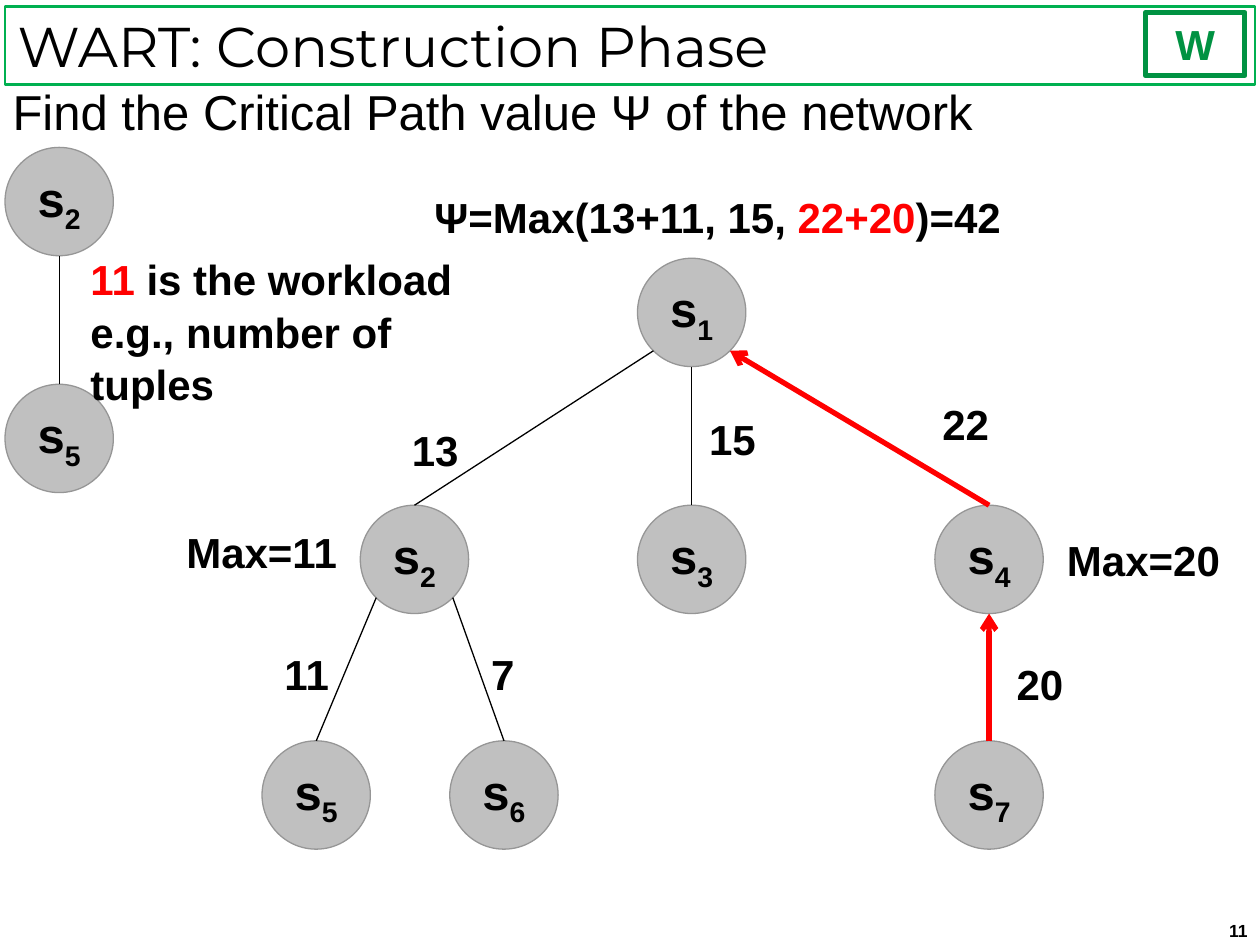
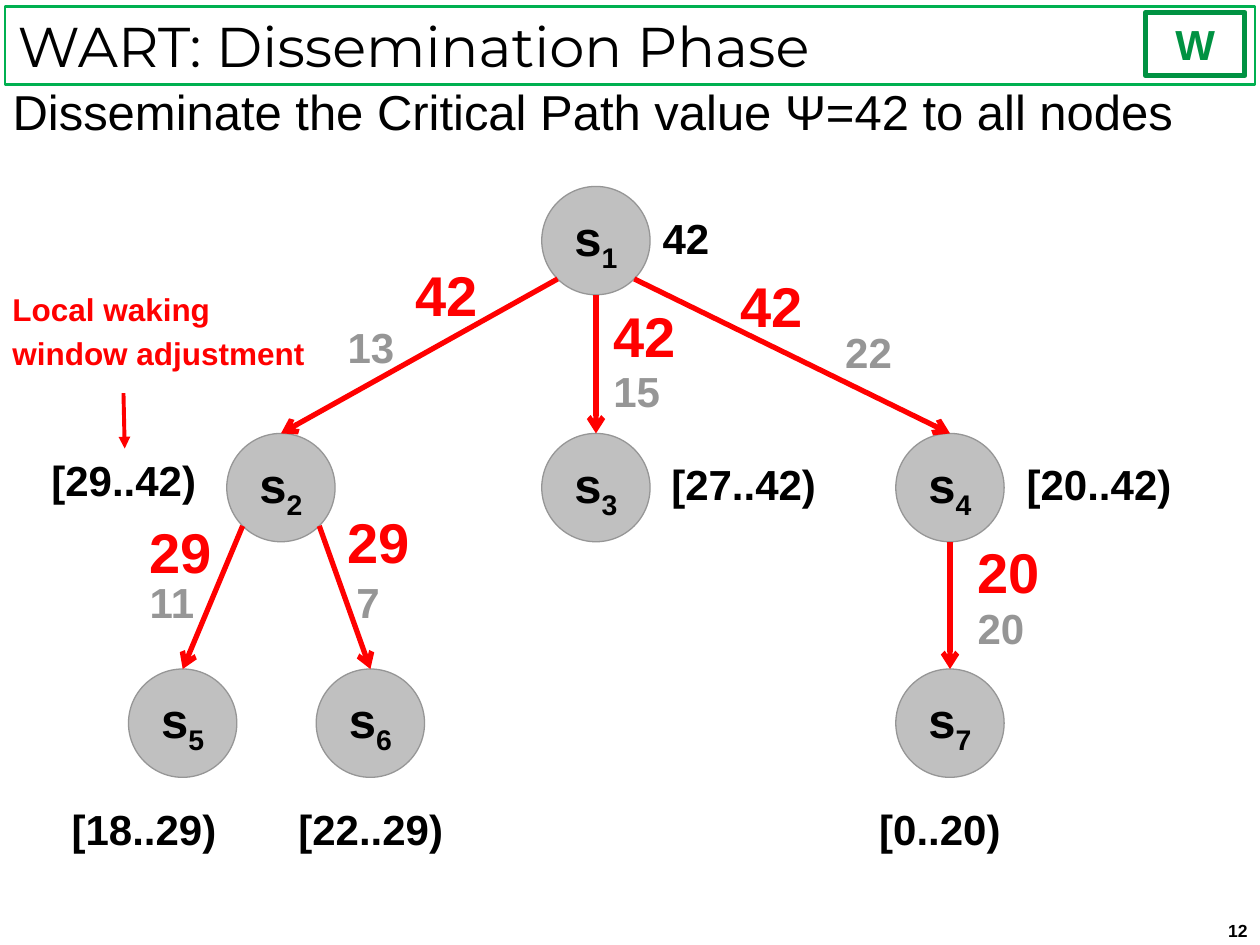
"""Build two slides on finding and disseminating a critical path in a tree of sensors."""
from math import sqrt

from lxml import etree
from pptx import Presentation
from pptx.dml.color import RGBColor
from pptx.enum.shapes import MSO_CONNECTOR, MSO_SHAPE
from pptx.enum.text import MSO_ANCHOR, MSO_AUTO_SIZE, PP_ALIGN
from pptx.oxml.ns import qn
from pptx.util import Inches, Pt

LEFT, CENTER, RIGHT = PP_ALIGN.LEFT, PP_ALIGN.CENTER, PP_ALIGN.RIGHT
TOP, MIDDLE = MSO_ANCHOR.TOP, MSO_ANCHOR.MIDDLE
FIT_SHAPE, NO_FIT = MSO_AUTO_SIZE.SHAPE_TO_FIT_TEXT, MSO_AUTO_SIZE.NONE
OVAL, RECTANGLE = MSO_SHAPE.OVAL, MSO_SHAPE.RECTANGLE
STRAIGHT = MSO_CONNECTOR.STRAIGHT

BLACK, WHITE, RED, GRAY = "000000", "FFFFFF", "FF0000", "969696"
NODE_FILL, BAND_GREEN, BADGE_GREEN = "C0C0C0", "00B050", "009242"
BODY_FONT, TITLE_FONT = "Arial", "Montserrat"

NODE_SIZE = 0.86
RADIUS = NODE_SIZE / 2
DIAGONAL = RADIUS / sqrt(2)
LEVEL_DROPS = (0, 1.96, 3.83)
PARENT_OF = {"2": "1", "3": "1", "4": "1", "5": "2", "6": "2", "7": "4"}
PARENT_SIDE = {"2": -1, "3": 0, "4": 1, "5": -1, "6": 1, "7": 0}


def rgb(color):
    return RGBColor.from_string(color)


def place(shape, left, top, width, height):
    shape.left, shape.top = Inches(left), Inches(top)
    shape.width, shape.height = Inches(width), Inches(height)


def write(frame, *paragraphs, size=24, color=BLACK, bold=True, font=BODY_FONT,
          align=LEFT, anchor=TOP, wrap=True, fit=NO_FIT, gap=0, spacing=None):
    """Write paragraphs, each a string or a list of (text, changes) runs."""
    frame.word_wrap, frame.auto_size, frame.vertical_anchor = wrap, fit, anchor
    for index, content in enumerate(paragraphs):
        paragraph = frame.add_paragraph() if index else frame.paragraphs[0]
        paragraph.alignment = align
        paragraph.space_before = Pt(gap if index else 0)
        if spacing:
            paragraph.line_spacing = spacing
        runs = [(content, {})] if isinstance(content, str) else content
        for text, changes in runs:
            run = paragraph.add_run()
            run.text = text
            run.font.name, run.font.size, run.font.bold = font, Pt(size), bold
            run.font.color.rgb = rgb(changes.get("color", color))
            if "baseline" in changes:
                run.font._element.set("baseline", str(changes["baseline"]))


def add_label(slide, left, top, *paragraphs, width=0.58, height=0.5, **style):
    box = slide.shapes.add_textbox(Inches(left), Inches(top), Inches(width), Inches(height))
    write(box.text_frame, *paragraphs, **{"wrap": False, "fit": FIT_SHAPE, **style})


def add_outlined(slide, kind, left, top, width, height, fill, line, weight):
    shape = slide.shapes.add_shape(kind, Inches(left), Inches(top), Inches(width), Inches(height))
    shape.shadow.inherit = False
    shape.fill.solid()
    shape.fill.fore_color.rgb = rgb(fill)
    shape.line.color.rgb = rgb(line)
    shape.line.width = Pt(weight)
    return shape


def add_node(slide, number, left, top):
    node = add_outlined(slide, OVAL, left, top, NODE_SIZE, NODE_SIZE, NODE_FILL, GRAY, 0.75)
    write(node.text_frame, [("s", {}), (number, {"baseline": -25000})],
          size=28, align=CENTER, anchor=MIDDLE, wrap=False)
    return node


def add_line(slide, start, end, color=BLACK, weight=0.75, arrow_end=None, arrow="arrow"):
    """Draw a straight line; arrow_end is headEnd (start) or tailEnd (end)."""
    points = [Inches(value) for value in (*start, *end)]
    line = slide.shapes.add_connector(STRAIGHT, *points)
    line.line.color.rgb = rgb(color)
    line.line.width = Pt(weight)
    if arrow_end:
        outline = line.line._get_or_add_ln()
        etree.SubElement(outline, qn(f"a:{arrow_end}")).set("type", arrow)
    etree.SubElement(line._element.spPr, qn("a:effectLst"))
    return line


def add_tree(slide, root_top, lefts, critical, arrow_end):
    """Draw the seven nodes and the edges from each child up to its parent."""
    root, second, fourth = lefts
    first_row, second_row, third_row = (root_top + drop for drop in LEVEL_DROPS)
    spots = {
        "1": (root, first_row),
        "2": (second, second_row), "3": (root, second_row), "4": (fourth, second_row),
        "5": (second - 0.78, third_row), "6": (second + 0.71, third_row),
        "7": (fourth, third_row),
    }
    nodes = {number: add_node(slide, number, *spot) for number, spot in spots.items()}
    for child, parent in PARENT_OF.items():
        child_left, child_top = spots[child]
        parent_left, parent_top = spots[parent]
        side = PARENT_SIDE[child]
        end = (parent_left + RADIUS + side * DIAGONAL,
               parent_top + RADIUS + (DIAGONAL if side else RADIUS))
        style = {"color": RED, "weight": 3, "arrow_end": arrow_end} if child in critical else {}
        edge = add_line(slide, (child_left + RADIUS, child_top), end, **style)
        edge.begin_connect(nodes[child], 0)


def add_slide(prs, title, statement, number):
    """Add a slide with the title band, badge, opening statement and number."""
    slide = prs.slides.add_slide(prs.slide_layouts[1])
    band, body = slide.placeholders
    place(band, 0.04, 0.05, 9.92, 0.62)
    band.line.color.rgb = rgb(BAND_GREEN)
    band.line.width = Pt(1.5)
    write(band.text_frame, title, size=32, bold=False, font=TITLE_FONT, anchor=MIDDLE)
    place(body, 0, 0.6, 10, 0.65)
    properties = body.text_frame.paragraphs[0]._p.get_or_add_pPr()
    properties.set("marL", str(Inches(0.38)))
    properties.set("indent", str(-Inches(0.38)))
    etree.SubElement(properties, qn("a:buNone"))
    write(body.text_frame, statement, size=28, bold=False)
    badge = add_outlined(slide, RECTANGLE, 9.09, 0.1, 0.79, 0.5, WHITE, BADGE_GREEN, 3)
    write(badge.text_frame, "W", color=BADGE_GREEN, align=CENTER, anchor=MIDDLE)
    add_label(slide, 7.92, 7.25, str(number), width=2.08, height=0.25,
              size=10, align=RIGHT, wrap=True, fit=NO_FIT)
    return slide


def add_construction(prs):
    slide = add_slide(prs, "WART: Construction Phase",
                      "Find the Critical Path value Ψ of the network", 11)
    add_tree(slide, 2.05, (5.06, 2.86, 7.42), critical="47", arrow_end="tailEnd")
    for workload, left, top, width in (
        ("13", 3.17, 3.32, 0.58), ("15", 5.53, 3.23, 0.58), ("22", 7.38, 3.11, 0.58),
        ("11", 2.16, 5.1, 0.56), ("7", 3.8, 5.1, 0.39), ("20", 7.97, 5.18, 0.58),
        ("Max=20", 8.37, 4.19, 1.43), ("Max=11", 1.38, 4.13, 1.41),
    ):
        add_label(slide, left, top, workload, width=width)
    add_label(slide, 3.35, 1.47,
              [("Ψ=Max(13+11, 15, ", {}), ("22+20", {"color": RED}), (")=42", {})], width=4.74)

    legend_left, legend_top, legend_bottom = 0.04, 1.17, 3.05
    add_node(slide, "2", legend_left, legend_top)
    lower = add_node(slide, "5", legend_left, legend_bottom)
    middle = legend_left + RADIUS
    edge = add_line(slide, (middle, legend_bottom), (middle, legend_top + NODE_SIZE))
    edge.begin_connect(lower, 0)
    add_label(slide, 0.62, 1.94, [("11", {"color": RED}), (" is the workload", {})],
              "e.g., number of", "tuples", width=3.1, height=1.31, spacing=1.05)


def add_dissemination(prs):
    slide = add_slide(prs, "WART: Dissemination Phase",
                      "Disseminate the Critical Path value Ψ=42 to all nodes", 12)
    add_tree(slide, 1.48, (4.3, 1.8, 7.11), critical="234567", arrow_end="headEnd")
    for workload, left, top, width in (
        ("13", 2.66, 2.5, 0.58), ("15", 4.77, 2.85, 0.58), ("22", 6.61, 2.54, 0.58),
        ("11", 1.09, 4.53, 0.56), ("7", 2.73, 4.53, 0.39), ("20", 7.66, 4.73, 0.58),
    ):
        add_label(slide, left, top, workload, width=width, color=GRAY)
    for window, left, top, width in (
        ("42", 5.16, 1.64, 0.58), ("[29..42)", 0.31, 3.56, 1.36),
        ("[27..42)", 5.23, 3.59, 1.36), ("[20..42)", 8.05, 3.59, 1.36),
        ("[18..29)", 0.47, 6.33, 1.36), ("[22..29)", 2.27, 6.33, 1.36),
        ("[0..20)", 6.88, 6.33, 1.17),
    ):
        add_label(slide, left, top, window, width=width)
    for sent_value, left, top in (
        ("42", 5.78, 2.11), ("42", 3.2, 2.02), ("42", 4.77, 2.34),
        ("29", 1.09, 4.06), ("29", 2.66, 3.98), ("20", 7.66, 4.22),
    ):
        add_label(slide, left, top, sent_value, width=0.7, height=0.64, size=32, color=RED)
    add_label(slide, 0, 2.25, "Local waking", "window adjustment", width=2.68, height=0.87,
              size=18, color=RED, wrap=True, fit=NO_FIT, gap=3.6)
    add_line(slide, (0.98, 3.12), (0.99, 3.56), RED, 2.25, "tailEnd", "triangle")


def main():
    prs = Presentation()
    prs.slide_width, prs.slide_height = Inches(10), Inches(7.5)
    add_construction(prs)
    add_dissemination(prs)
    prs.save("out.pptx")


if __name__ == "__main__":
    main()
